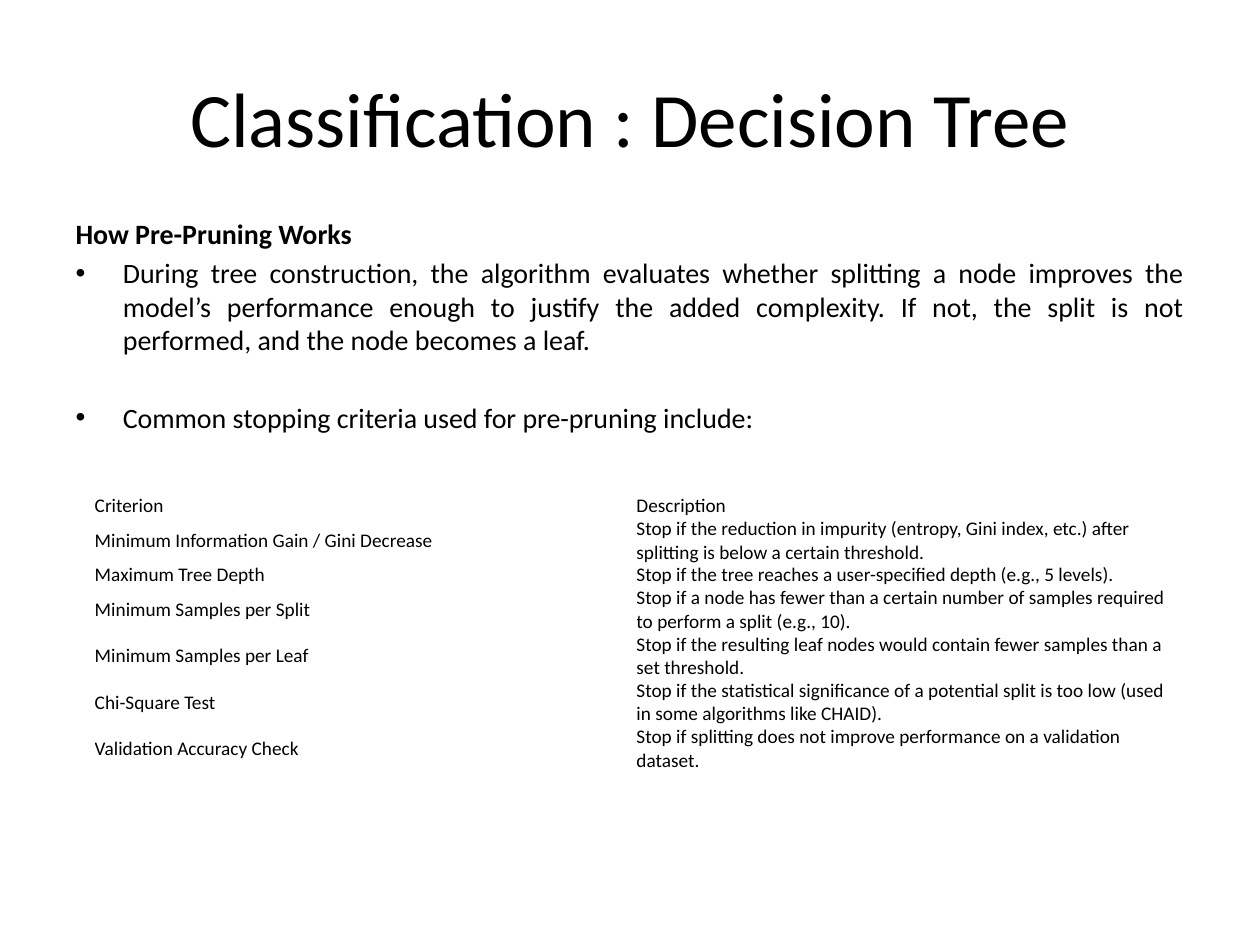
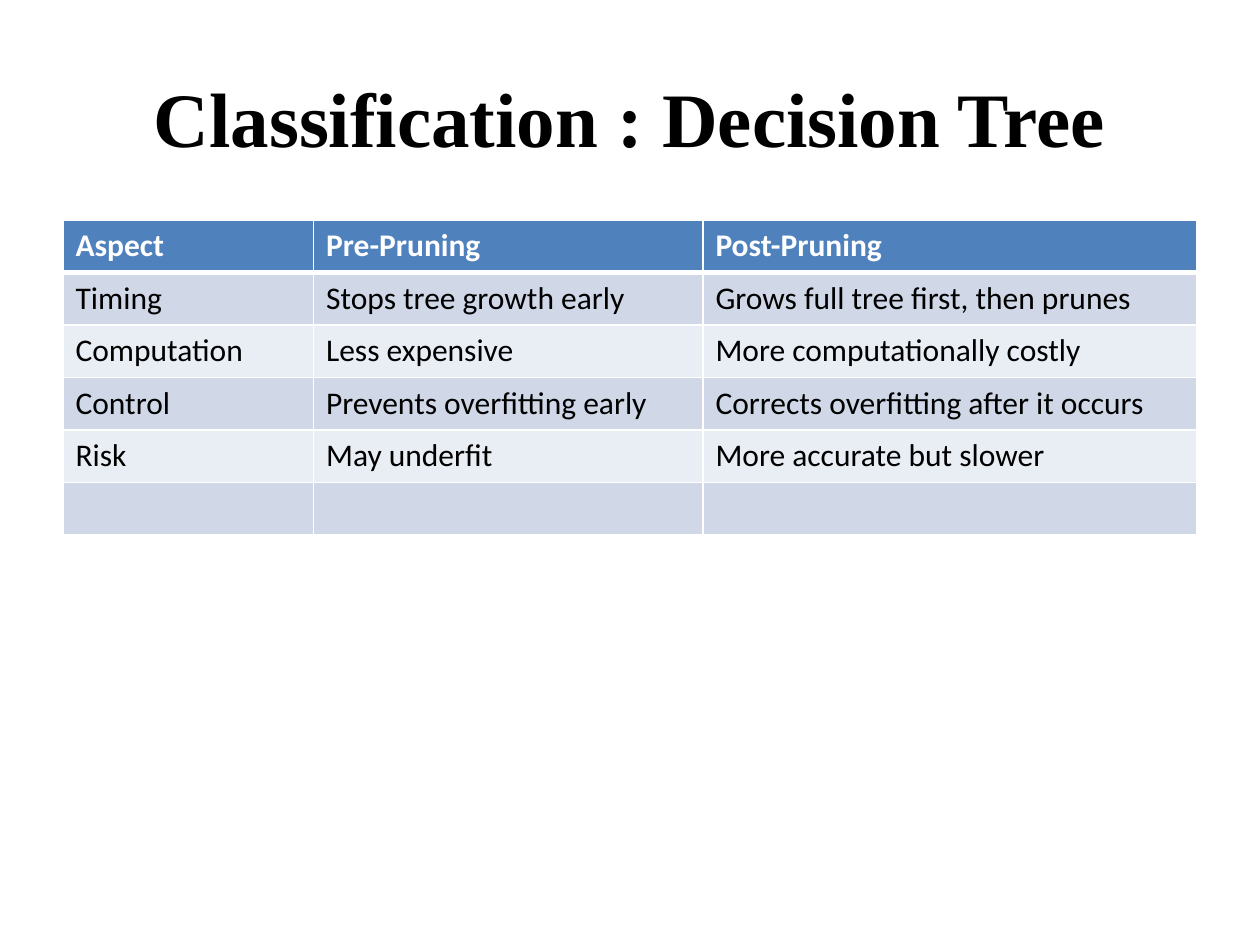
from dataclasses import dataclass
from typing import Optional

from lxml.etree import SubElement
from pptx import Presentation
from pptx.dml.color import RGBColor
from pptx.enum.text import MSO_ANCHOR, PP_ALIGN
from pptx.oxml.ns import qn
from pptx.util import Cm, Pt

# Shared look
BLACK = RGBColor(0x00, 0x00, 0x00)
WHITE = RGBColor(0xFF, 0xFF, 0xFF)
HEADER_BLUE = RGBColor(0x4F, 0x81, 0xBD)
BAND_DARK = RGBColor(0xD0, 0xD8, 0xE8)
BAND_LIGHT = RGBColor(0xE9, 0xED, 0xF4)
BODY_FONT = "Calibri"
SERIF_FONT = "Times New Roman"
TITLE = "Classification : Decision Tree"
TITLE_ONLY, TITLE_AND_CONTENT = 5, 1


@dataclass(frozen=True)
class BodyLine:
    text: str
    bullet: bool = True
    bold: bool = False
    align: PP_ALIGN = PP_ALIGN.LEFT
    space_before: float = 3.2


@dataclass(frozen=True)
class Criterion:
    name: str
    description: str
    lines: int = 2


BODY_LINES = [
    BodyLine("How Pre-Pruning Works", bullet=False, bold=True, space_before=0),
    BodyLine(
        "During tree construction, the algorithm evaluates whether splitting a node "
        "improves the model’s performance enough to justify the added complexity. "
        "If not, the split is not performed, and the node becomes a leaf.",
        align=PP_ALIGN.JUSTIFY,
    ),
    BodyLine("Common stopping criteria used for pre-pruning include:", space_before=25),
]

# Stopping criteria, one table each
CRITERIA = [
    Criterion("Criterion", "Description", lines=1),
    Criterion("Minimum Information Gain / Gini Decrease",
              "Stop if the reduction in impurity (entropy, Gini index, etc.) after "
              "splitting is below a certain threshold."),
    Criterion("Maximum Tree Depth",
              "Stop if the tree reaches a user-specified depth (e.g., 5 levels).", lines=1),
    Criterion("Minimum Samples per Split",
              "Stop if a node has fewer than a certain number of samples required to "
              "perform a split (e.g., 10)."),
    Criterion("Minimum Samples per Leaf",
              "Stop if the resulting leaf nodes would contain fewer samples than a "
              "set threshold."),
    Criterion("Chi-Square Test",
              "Stop if the statistical significance of a potential split is too low "
              "(used in some algorithms like CHAID)."),
    Criterion("Validation Accuracy Check",
              "Stop if splitting does not improve performance on a validation dataset."),
]
CRITERIA_LEFT, CRITERIA_TOP = Cm(1.91), Cm(9.96)
CRITERIA_COLUMNS = [Cm(10.92)] * 2
CRITERIA_LINE = Cm(0.93) // 2

COMPARISON = [
    ("Aspect", "Pre-Pruning", "Post-Pruning"),
    ("Timing", "Stops tree growth early", "Grows full tree first, then prunes"),
    ("Computation", "Less expensive", "More computationally costly"),
    ("Control", "Prevents overfitting early", "Corrects overfitting after it occurs"),
    ("Risk", "May underfit", "More accurate but slower"),
    ("", "", ""),
]
COMPARISON_LEFT, COMPARISON_TOP = Cm(1.27), Cm(4.44)
COMPARISON_COLUMNS = [Cm(5.05), Cm(7.85), Cm(9.96)]
COMPARISON_ROW = Cm(6.35) // len(COMPARISON)


def write_text(paragraph, text: str, *, size: float, font: str = BODY_FONT,
               color: RGBColor = BLACK, bold: bool = False,
               align: Optional[PP_ALIGN] = None) -> None:
    paragraph.alignment = align
    paragraph.font.size = Pt(size)
    if not text:
        return
    run = paragraph.add_run()
    run.text = text
    run.font.size = Pt(size)
    run.font.name = font
    run.font.bold = bold
    run.font.color.rgb = color


def add_titled_slide(presentation, layout: int, *, font: str = BODY_FONT,
                     bold: bool = False):
    slide = presentation.slides.add_slide(presentation.slide_layouts[layout])
    title = slide.shapes.title
    title.left, title.top, title.width, title.height = Cm(1.27), Cm(0.76), Cm(22.86), Cm(3.18)
    title.text_frame.vertical_anchor = MSO_ANCHOR.MIDDLE
    write_text(title.text_frame.paragraphs[0], TITLE, size=44, font=font, bold=bold,
               align=PP_ALIGN.CENTER)
    return slide


def fill_body(body, lines: list[BodyLine]) -> None:
    body.left, body.top, body.width, body.height = Cm(1.27), Cm(4.24), Cm(22.86), Cm(13.61)
    frame = body.text_frame
    for index, line in enumerate(lines):
        paragraph = frame.add_paragraph() if index else frame.paragraphs[0]
        if not line.bullet:
            properties = paragraph._p.get_or_add_pPr()
            properties.set("marL", "0")
            properties.set("indent", "0")
            SubElement(properties, qn("a:buNone"))
        paragraph.space_before = Pt(line.space_before)
        write_text(paragraph, line.text, size=16, bold=line.bold, align=line.align)


def add_table(slide, left: int, top: int, columns: list[Cm], row_count: int,
              row_height: int):
    frame = slide.shapes.add_table(row_count, len(columns), left, top, sum(columns),
                                   row_height * row_count)
    table = frame.table
    table.horz_banding = False
    for column, width in zip(table.columns, columns):
        column.width = width
    return table


def set_border(cell, side: str, points: float) -> None:
    line = SubElement(cell._tc.get_or_add_tcPr(), qn(f"a:{side}"), w=str(Pt(points)))
    SubElement(SubElement(line, qn("a:solidFill")), qn("a:srgbClr"), val=str(WHITE))


def build_criteria_slide(presentation) -> None:
    slide = add_titled_slide(presentation, TITLE_AND_CONTENT)
    fill_body(slide.placeholders[1], BODY_LINES)

    # Stacked plain tables whose rows grow to fit their text
    top = CRITERIA_TOP
    for criterion in CRITERIA:
        table = add_table(slide, CRITERIA_LEFT, top, CRITERIA_COLUMNS, 1, 0)
        table.first_row = False
        for cell, text in zip(table.rows[0].cells, (criterion.name, criterion.description)):
            cell.margin_left = cell.margin_right = cell.margin_top = cell.margin_bottom = 0
            cell.vertical_anchor = MSO_ANCHOR.MIDDLE
            cell.fill.background()
            write_text(cell.text_frame.paragraphs[0], text, size=11)
        top += CRITERIA_LINE * criterion.lines


def build_comparison_slide(presentation) -> None:
    slide = add_titled_slide(presentation, TITLE_ONLY, font=SERIF_FONT, bold=True)

    # Header row, then alternating bands with white rules
    table = add_table(slide, COMPARISON_LEFT, COMPARISON_TOP, COMPARISON_COLUMNS,
                      len(COMPARISON), COMPARISON_ROW)
    for index, (row, texts) in enumerate(zip(table.rows, COMPARISON)):
        header = index == 0
        band = BAND_DARK if index % 2 else BAND_LIGHT
        for cell, text in zip(row.cells, texts):
            if header:
                for side, points in (("lnL", 1), ("lnR", 1), ("lnT", 1), ("lnB", 3)):
                    set_border(cell, side, points)
            cell.fill.solid()
            cell.fill.fore_color.rgb = HEADER_BLUE if header else band
            write_text(cell.text_frame.paragraphs[0], text, size=18, bold=header,
                       color=WHITE if header else BLACK)


def main() -> None:
    presentation = Presentation()
    presentation.slide_width, presentation.slide_height = Cm(25.4), Cm(19.05)
    build_criteria_slide(presentation)
    build_comparison_slide(presentation)
    presentation.save("out.pptx")


if __name__ == "__main__":
    main()
